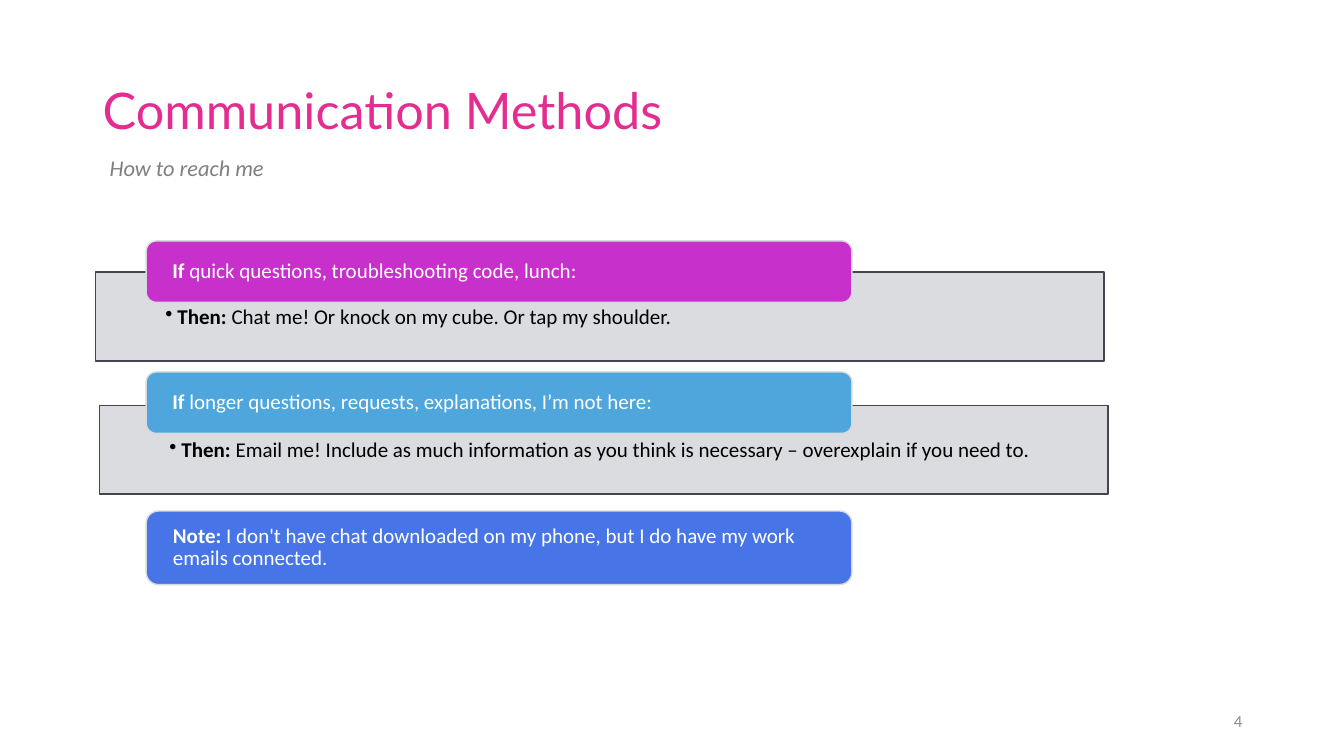
from lxml import etree
from pptx import Presentation
from pptx.dml.color import RGBColor
from pptx.enum.shapes import MSO_SHAPE
from pptx.enum.text import MSO_ANCHOR, PP_ALIGN
from pptx.oxml.ns import qn
from pptx.util import Pt

RECTANGLE, ROUNDED = MSO_SHAPE.RECTANGLE, MSO_SHAPE.ROUNDED_RECTANGLE
TOP, MIDDLE = MSO_ANCHOR.TOP, MSO_ANCHOR.MIDDLE
LEFT, RIGHT = PP_ALIGN.LEFT, PP_ALIGN.RIGHT
PX = 9144  # 100 px to the inch
PALE = "D8D9DC"


def color(value):
    return RGBColor.from_string(value)


def write(box, text, lead="", size=15, ink="FFFFFF", font="Calibri", italic=False,
          align=LEFT, anchor=MIDDLE, insets=(10, 5, 10, 5), bullet=False, spacing=0.9):
    frame = box.text_frame
    frame.word_wrap = True
    frame.vertical_anchor = anchor
    (frame.margin_left, frame.margin_top,
     frame.margin_right, frame.margin_bottom) = [side * PX for side in insets]
    para = frame.paragraphs[0]
    para.alignment = align
    para.line_spacing = spacing
    if bullet:
        layout = para._p.get_or_add_pPr()
        layout.set("marL", str(12 * PX))
        layout.set("indent", str(-12 * PX))
        etree.SubElement(layout, qn("a:buChar")).set("char", "•")
    for words, bold in ((lead, True), (text, False)):
        if words:
            span = para.add_run()
            span.text = words
            span.font.size = Pt(size)
            span.font.name = font
            span.font.bold = bold
            span.font.italic = italic
            span.font.color.rgb = color(ink)


deck = Presentation()
deck.slide_width, deck.slide_height = 1333 * PX, 750 * PX
page = deck.slides.add_slide(deck.slide_layouts[6])

# Title, subtitle and page number
labels = [
    ((92, 40, 1150, 145), "Communication Methods", dict(size=36, ink="E32D91", font="Lato")),
    ((99, 151, 1150, 55), "How to reach me",
     dict(size=16, ink="808080", italic=True, anchor=TOP)),
    ((942, 695, 300, 40), "4", dict(size=12, ink="8C8C8C", align=RIGHT, spacing=1.0)),
]
for place, text, style in labels:
    write(page.shapes.add_textbox(*[length * PX for length in place]), text, **style)

# Panels with the answers, each below its coloured heading
panel_style = dict(ink="000000", anchor=TOP, insets=(69, 34, 69, 12), bullet=True)
heading_style = dict(insets=(23, 0, 23, 0))
parts = [
    (RECTANGLE, (95, 270, 1000, 88), PALE, "454551", "Then: ",
     "Chat me! Or knock on my cube. Or tap my shoulder.", panel_style),
    (ROUNDED, (145, 239, 700, 61), "C830CC", PALE, "If",
     " quick questions, troubleshooting code, lunch:", heading_style),
    (RECTANGLE, (99, 402, 1000, 88), PALE, "454551", "Then: ",
     "Email me! Include as much information as you think is necessary – "
     "overexplain if you need to.", panel_style),
    (ROUNDED, (145, 369, 700, 61), "4EA6DC", PALE, "If",
     " longer questions, requests, explanations, I’m not here:", heading_style),
    (ROUNDED, (145, 507, 700, 73), "4775E7", PALE, "Note: ",
     "I don't have chat downloaded on my phone, but I do have my work emails connected.",
     heading_style),
]
for kind, place, fill, line, lead, text, style in parts:
    box = page.shapes.add_shape(kind, *[length * PX for length in place])
    box.shadow.inherit = False
    box.fill.solid()
    box.fill.fore_color.rgb = color(fill)
    box.line.color.rgb = color(line)
    box.line.width = Pt(1)
    if kind == RECTANGLE:  # panels are slightly see-through
        tint = box._element.spPr.find(qn("a:solidFill")).find(qn("a:srgbClr"))
        etree.SubElement(tint, qn("a:alpha")).set("val", "90000")
    write(box, text, lead, **style)

deck.save("out.pptx")
